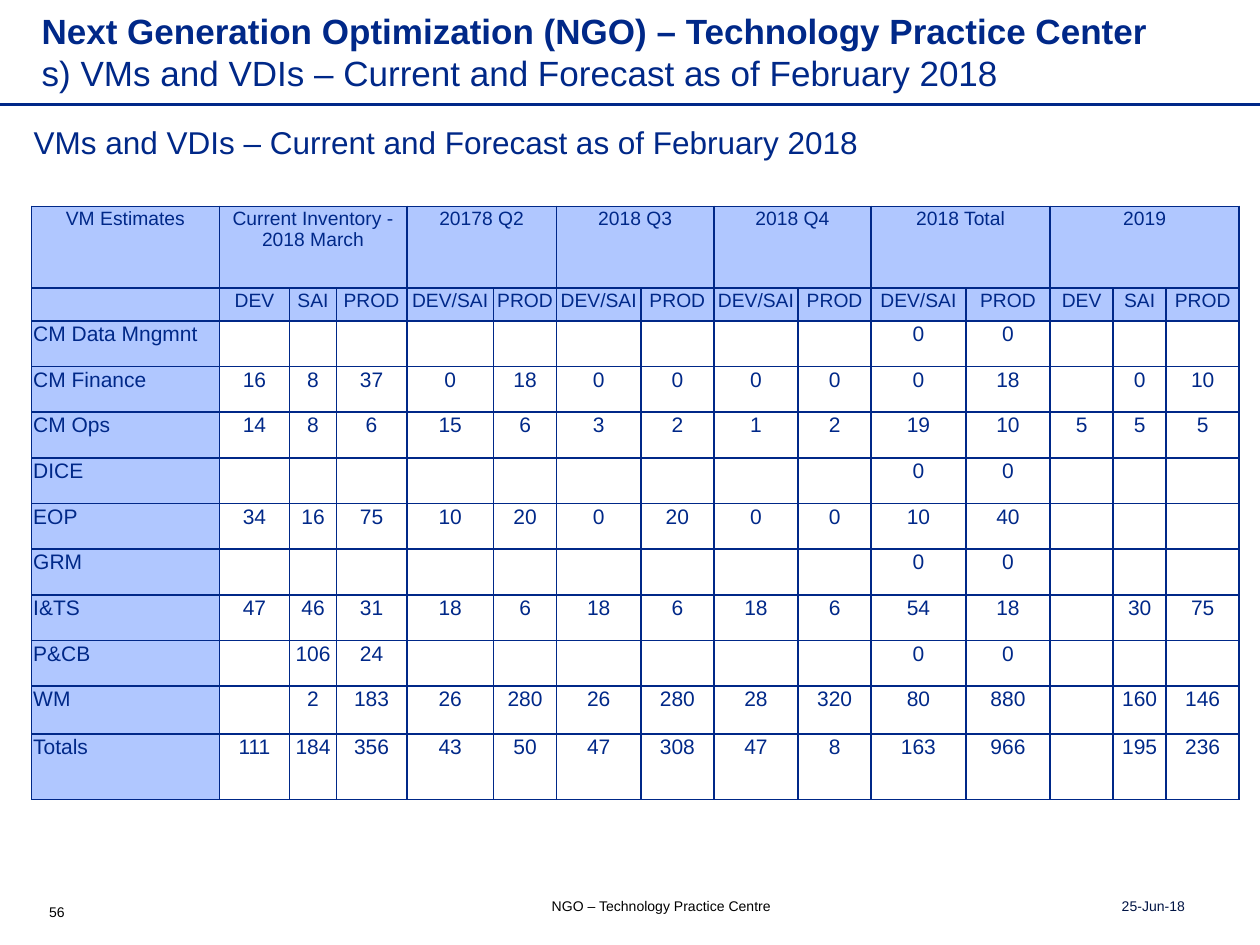
from lxml import etree
from pptx import Presentation
from pptx import util as u
from pptx.dml.color import RGBColor
from pptx.enum import shapes, text
from pptx.oxml import ns

NAVY = RGBColor(0x00, 0x28, 0x88)
DARK_NAVY = RGBColor(0x00, 0x14, 0x44)
PALE_BLUE = RGBColor(0xB0, 0xC7, 0xFF)
WHITE = RGBColor(0xFF, 0xFF, 0xFF)
BLACK = RGBColor(0x00, 0x00, 0x00)
LEFT, CENTER, RIGHT = text.PP_ALIGN.LEFT, text.PP_ALIGN.CENTER, text.PP_ALIGN.RIGHT

SUBTITLE = "VMs and VDIs – Current and Forecast as of February 2018"
TITLE = [
    ("Next Generation Optimization (NGO) – Technology Practice Center", True),
    ("s) " + SUBTITLE, False),
]

TEXT_BOXES = [
    # runs, (left, top, width, height), insets, size, color, alignment
    (TITLE, (0.84, 0.2, 22.86, 1.7), (0, 0, 0, 0), 20, NAVY, LEFT),
    ([(SUBTITLE, False)], (0.43, 2.36, 19.89, 1.02), (0.25, 0.13, 0.25, 0.13), 18, NAVY, LEFT),
    ([("56", False)], (0.99, 18.08, 0.56, 0.48), (0, 0.13, 0, 0), 8, BLACK, LEFT),
    ([("NGO – Technology Practice Centre", False)], (7.72, 17.96, 11.23, 0.61),
     (0.25, 0.13, 0.25, 0.13), 8, BLACK, CENTER),
    ([("25-Jun-18", False)], (18.42, 17.96, 5.72, 0.61),
     (0.25, 0.13, 0.25, 0.13), 8, DARK_NAVY, RIGHT),
]

THREE = ["DEV", "SAI", "PROD"]
TWO = ["DEV/SAI", "PROD"]
GROUPS = [
    ("VM Estimates", [""]),
    ("Current Inventory - 2018 March", THREE),
    ("20178 Q2", TWO),
    ("2018 Q3", TWO),
    ("2018 Q4", TWO),
    ("2018 Total", TWO),
    ("2019", THREE),
]
NO_FORECAST = [""] * 6
BODY = [
    ["CM Data Mngmnt", "", "", "", *NO_FORECAST, 0, 0, "", "", ""],
    ["CM Finance", 16, 8, 37, 0, 18, 0, 0, 0, 0, 0, 18, "", 0, 10],
    ["CM Ops", 14, 8, 6, 15, 6, 3, 2, 1, 2, 19, 10, 5, 5, 5],
    ["DICE", "", "", "", *NO_FORECAST, 0, 0, "", "", ""],
    ["EOP", 34, 16, 75, 10, 20, 0, 20, 0, 0, 10, 40, "", "", ""],
    ["GRM", "", "", "", *NO_FORECAST, 0, 0, "", "", ""],
    ["I&TS", 47, 46, 31, 18, 6, 18, 6, 18, 6, 54, 18, "", 30, 75],
    ["P&CB", "", 106, 24, *NO_FORECAST, 0, 0, "", "", ""],
    ["WM", "", 2, 183, 26, 280, 26, 280, 28, 320, 80, 880, "", 160, 146],
    ["Totals", 111, 184, 356, 43, 50, 47, 308, 47, 8, 163, 966, "", 195, 236],
]
COLUMN_WIDTHS = [3.78, 1.42, 0.94, 1.42, 1.75, 1.27, 1.7, 1.47, 1.7, 1.47,
                 1.91, 1.7, 1.27, 1.07, 1.47]
ROW_HEIGHTS = [1.65, 0.66] + [0.92] * 8 + [0.97, 1.32]
TABLE_LEFT, TABLE_TOP = 0.64, 4.16


def apply(target, **values):
    for name, value in values.items():
        setattr(target, name, value)


def format_font(font, size, color, bold=False):
    apply(font, name="Arial", size=u.Pt(size), bold=bold)
    font.color.rgb = color


def add_text(slide, runs, box, insets, size, color, alignment):
    frame = slide.shapes.add_textbox(*map(u.Cm, box)).text_frame
    left, top, right, bottom = map(u.Cm, insets)
    apply(frame, word_wrap=True, margin_left=left, margin_top=top,
          margin_right=right, margin_bottom=bottom)
    paragraph = frame.paragraphs[0]
    paragraph.alignment = alignment
    for index, (words, bold) in enumerate(runs):
        if index:
            paragraph.add_line_break()
        run = paragraph.add_run()
        run.text = words
        format_font(run.font, size, color, bold)


def add_rule(slide):
    rule = slide.shapes.add_connector(
        shapes.MSO_CONNECTOR.STRAIGHT, 0, u.Cm(2.11), u.Cm(25.4), u.Cm(2.11))
    rule.line.color.rgb = NAVY
    rule.line.width = u.Pt(2)
    etree.SubElement(rule._element.spPr, ns.qn("a:effectLst"))


def add_borders(cell):
    properties = cell._tc.get_or_add_tcPr()
    for index, side in enumerate(("lnL", "lnR", "lnT", "lnB")):
        line = etree.Element(ns.qn("a:" + side), w=str(u.Pt(1)))
        fill = etree.SubElement(line, ns.qn("a:solidFill"))
        etree.SubElement(fill, ns.qn("a:srgbClr"), val=str(NAVY))
        properties.insert(index, line)


def format_cell(cell, value, size, alignment, fill):
    apply(cell, margin_left=u.Cm(0.03), margin_top=u.Cm(0.03),
          margin_right=u.Cm(0.03), margin_bottom=0)
    cell.fill.solid()
    cell.fill.fore_color.rgb = fill
    add_borders(cell)
    paragraph = cell.text_frame.paragraphs[0]
    paragraph.alignment = alignment
    if value == "":
        etree.SubElement(paragraph._p, ns.qn("a:endParaRPr"), sz=str(size * 100))
    else:
        run = paragraph.add_run()
        run.text = str(value)
        format_font(run.font, size, NAVY)


def add_estimates(slide):
    group_row = [label for name, parts in GROUPS
                 for label in [name] + [""] * (len(parts) - 1)]
    part_row = [part for _, parts in GROUPS for part in parts]
    rows = [group_row, part_row] + BODY
    table = slide.shapes.add_table(
        len(rows), len(COLUMN_WIDTHS), u.Cm(TABLE_LEFT), u.Cm(TABLE_TOP),
        u.Cm(sum(COLUMN_WIDTHS)), u.Cm(sum(ROW_HEIGHTS))).table
    apply(table, first_row=False, horz_banding=False)
    for column, width in zip(table.columns, COLUMN_WIDTHS):
        column.width = u.Cm(width)
    for row, height in zip(table.rows, ROW_HEIGHTS):
        row.height = u.Cm(height)
    for r, values in enumerate(rows):
        header = r < 2
        for c, value in enumerate(values):
            format_cell(table.cell(r, c), value, 11 if header else 12,
                        CENTER if header or c else LEFT,
                        PALE_BLUE if header or c == 0 else WHITE)
    start = 0
    for _, parts in GROUPS:
        end = start + len(parts) - 1
        if end > start:
            table.cell(0, start).merge(table.cell(0, end))
        start = end + 1


def main():
    presentation = Presentation()
    apply(presentation, slide_width=u.Cm(25.4), slide_height=u.Cm(19.05))
    slide = presentation.slides.add_slide(presentation.slide_layouts[6])
    add_rule(slide)
    for text_box in TEXT_BOXES:
        add_text(slide, *text_box)
    add_estimates(slide)
    presentation.save("out.pptx")


if __name__ == "__main__":
    main()
